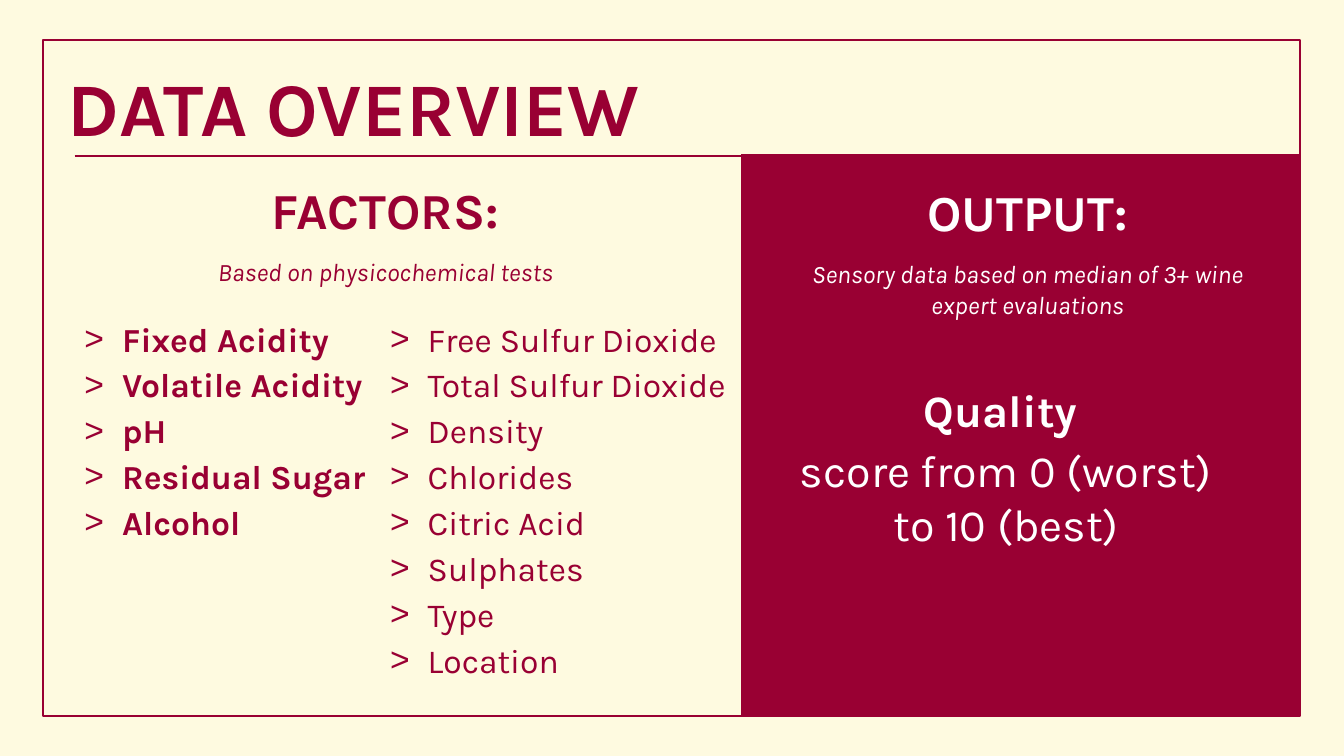
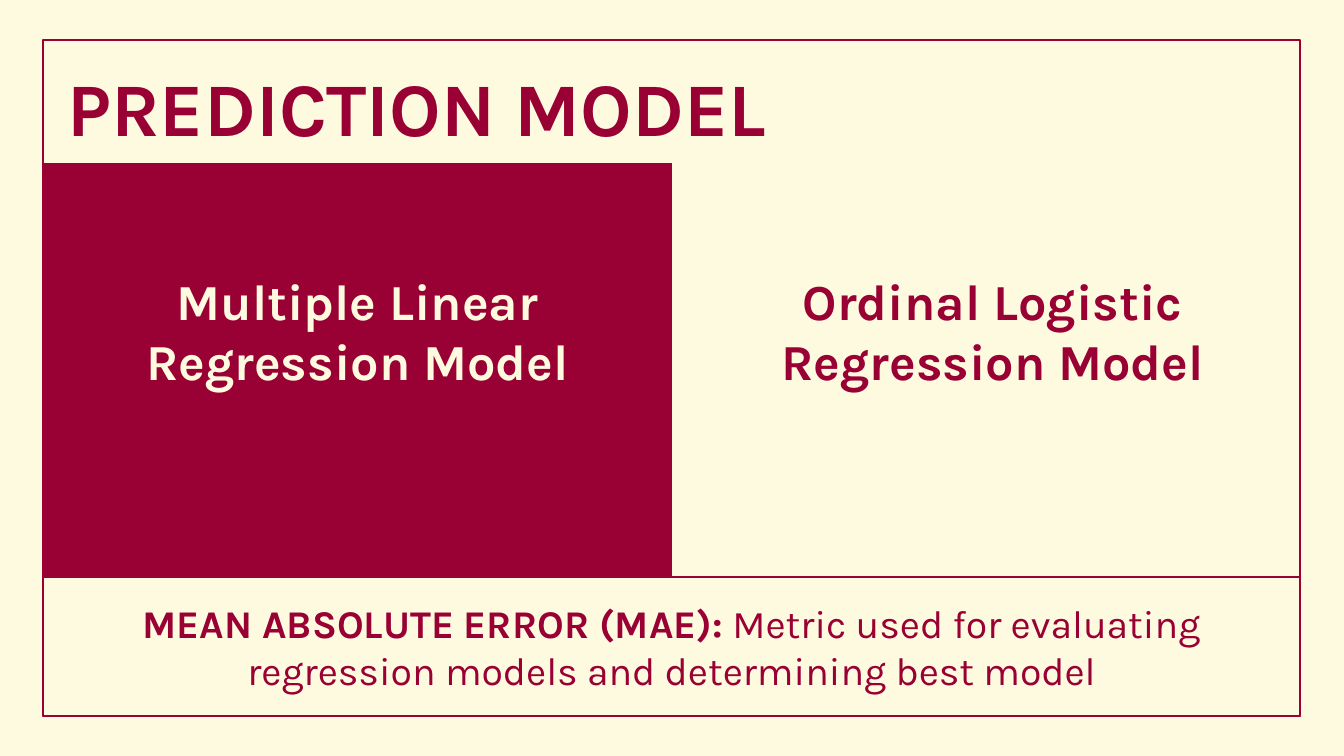
"""Build two wine quality slides: the data overview and the prediction model."""
from dataclasses import dataclass

from lxml import etree
from pptx import Presentation
from pptx.dml.color import RGBColor as RGB
from pptx.enum.shapes import MSO_CONNECTOR as LINE, MSO_SHAPE as SHAPE
from pptx.enum.text import MSO_ANCHOR as ANCHOR, PP_ALIGN as ALIGN
from pptx.oxml.ns import qn
from pptx.util import Cm, Pt


@dataclass(frozen=True)
class Theme:
    cream: RGB = RGB(0xFE, 0xFA, 0xE0)
    wine: RGB = RGB(0x99, 0x00, 0x33)
    white: RGB = RGB(0xFF, 0xFF, 0xFF)
    font: str = "Karla"
    title: int = 54
    heading: int = 36
    quality: int = 32
    metric: int = 28
    item: int = 24
    note: int = 18
    line: float = 1.5


T = Theme()
LEFT, TOP, WIDTH, HEIGHT = 1.09, 1.02, 31.67, 17.02
RIGHT, BOTTOM = LEFT + WIDTH, TOP + HEIGHT
INDENT = 1.88


def add_box(s, shape, x, y, w, h, fill=None, line=None):
    sp = s.shapes.add_shape(shape, Cm(x), Cm(y), Cm(w), Cm(h))
    sp.shadow.inherit = False
    if fill is None:
        sp.fill.background()
    else:
        sp.fill.solid()
        sp.fill.fore_color.rgb = fill
    if line is None:
        sp.line.fill.background()
    else:
        sp.line.color.rgb = line
        sp.line.width = Pt(T.line)
    return sp


def add_text(s, box, paragraphs, color, align=ALIGN.CENTER, after=0,
             anchor=ANCHOR.TOP, spacing=None, bullet=None, sp=None):
    sp = sp or s.shapes.add_textbox(*map(Cm, box))
    tf = sp.text_frame
    tf.word_wrap = True
    tf.vertical_anchor = anchor
    for i, runs in enumerate(paragraphs):
        p = tf.add_paragraph() if i else tf.paragraphs[0]
        p.alignment = align
        p.space_after = Pt(after)
        if spacing:
            p.line_spacing = spacing
        if bullet:
            pPr = p._p.get_or_add_pPr()
            pPr.set("marL", str(Cm(0.95)))
            pPr.set("indent", str(-Cm(0.95)))
            etree.SubElement(pPr, qn("a:buFont")).set("typeface", "Arial")
            etree.SubElement(pPr, qn("a:buChar")).set("char", bullet)
        for text, size, style in runs:
            r = p.add_run()
            r.text = text
            r.font.name = T.font
            r.font.size = Pt(size)
            r.font.bold = style == "bold"
            r.font.italic = style == "italic"
            r.font.color.rgb = color


prs = Presentation()
prs.slide_width, prs.slide_height = Cm(33.87), Cm(19.05)

slides = []
for title in ("DATA OVERVIEW", "PREDICTION MODEL"):
    s = prs.slides.add_slide(prs.slide_layouts[6])
    s.background.fill.solid()
    s.background.fill.fore_color.rgb = T.cream
    add_text(s, (1.45, 1.47, 29.21, 2.69), [[(title, T.title, "bold")]], T.wine,
             align=ALIGN.LEFT, anchor=ANCHOR.MIDDLE, spacing=0.9)
    add_box(s, SHAPE.RECTANGLE, LEFT, TOP, WIDTH, HEIGHT, line=T.wine)
    slides.append(s)
overview, model = slides

rule = overview.shapes.add_connector(LINE.STRAIGHT, Cm(INDENT), Cm(3.94), Cm(31.98), Cm(3.94))
rule.line.color.rgb = T.wine
rule.line.width = Pt(T.line)
etree.SubElement(rule._element.spPr, qn("a:effectLst"))

panel_x, panel_y = 18.67, 3.89
add_box(overview, SHAPE.FLOWCHART_PROCESS, panel_x, panel_y,
        RIGHT - panel_x, BOTTOM - panel_y, fill=T.wine)

headings = [
    ((INDENT, 4.39, 15.67, 3), T.wine, "FACTORS:", "Based on physicochemical tests"),
    ((20.14, 4.45, 11.51, 3.76), T.white, "OUTPUT:",
     "Sensory data based on median of 3+ wine expert evaluations"),
]
for box, color, heading, note in headings:
    add_text(overview, box, [[(heading, T.heading, "bold")], [(note, T.note, "italic")]],
             color, after=12)

factors = [
    ((9.58, 7.9, 9.19, 9.45), None,
     ["Free Sulfur Dioxide", "Total Sulfur Dioxide", "Density", "Chlorides",
      "Citric Acid", "Sulphates", "Type", "Location"]),
    ((INDENT, 7.9, 11.51, 5.94), "bold",
     ["Fixed Acidity", "Volatile Acidity", "pH", "Residual Sugar", "Alcohol"]),
]
for box, style, names in factors:
    add_text(overview, box, [[(name, T.item, style)] for name in names], T.wine,
             align=ALIGN.LEFT, after=4, bullet=">")

add_text(overview, (19.76, 9.53, 11.2, 4.5),
         [[("Quality ", T.quality, "bold")],
          [("score from 0 (worst) to 10 (best)", T.quality, None)]], T.white, after=4)

panel_y, metric_y = 4.11, 14.53
add_box(model, SHAPE.FLOWCHART_PROCESS, LEFT, panel_y, 15.85, BOTTOM - panel_y, fill=T.wine)
metric = add_box(model, SHAPE.FLOWCHART_PROCESS, LEFT, metric_y, WIDTH, BOTTOM - metric_y,
                 fill=T.cream, line=T.wine)
add_text(model, None,
         [[("MEAN ABSOLUTE ERROR (MAE): ", T.metric, "bold"),
           ("Metric used for evaluating regression models and determining best model",
            T.metric, None)]],
         T.wine, anchor=ANCHOR.MIDDLE, sp=metric)

for x, w, name, color in [(2.84, 12.34, "Multiple Linear Regression Model", T.cream),
                          (18.69, 12.65, "Ordinal Logistic Regression Model", T.wine)]:
    add_text(model, (x, 6.68, w, 3.33), [[(name, T.heading, "bold")]], color)

prs.save("out.pptx")
